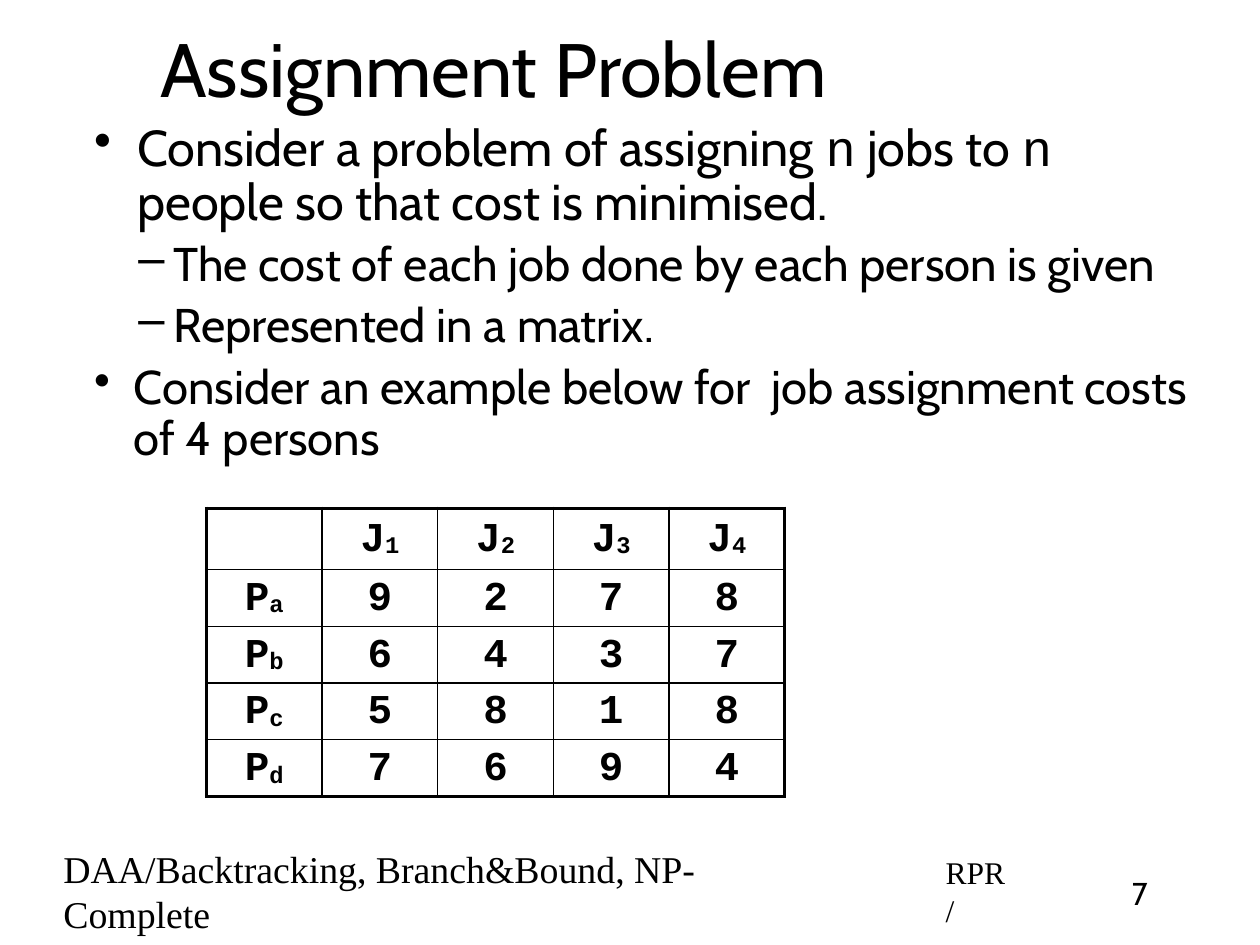
"""Build the Assignment Problem slide with its job cost matrix."""
from dataclasses import dataclass

from lxml.etree import SubElement
from pptx import Presentation
from pptx.dml.color import RGBColor
from pptx.enum.text import MSO_ANCHOR, MSO_AUTO_SIZE, PP_ALIGN
from pptx.oxml.ns import qn
from pptx.util import Inches, Pt


@dataclass(frozen=True)
class Theme:
    ink: RGBColor = RGBColor(0, 0, 0)
    sans: str = "Cabin"
    mono: str = "Courier New"
    serif: str = "Times New Roman"
    title: int = 48
    lead: int = 32
    detail: int = 30
    matrix: int = 26
    footer: int = 24
    small: int = 20
    frame_line: float = 2.25
    grid_line: float = 1


theme = Theme()


def add_span(para, text, size, face):
    span = para.add_run()
    span.text = text
    span.font.size = Pt(size)
    span.font.name = face
    span.font.color.rgb = theme.ink
    return span


def prepare_frame(box, anchor, left_margin=0.06):
    frame = box.text_frame
    frame.word_wrap = True
    frame.auto_size = MSO_AUTO_SIZE.NONE
    frame.vertical_anchor = anchor
    frame.margin_left = Inches(left_margin)
    frame.margin_right = frame.margin_top = frame.margin_bottom = Inches(0.06)
    return frame


deck = Presentation()
deck.slide_width, deck.slide_height = Inches(11.11), Inches(8.33)
page = deck.slides.add_slide(deck.slide_layouts[5])

title = page.shapes.title
title.left, title.top = Inches(0.83), Inches(0.07)
title.width, title.height = Inches(7.04), Inches(1.04)
para = prepare_frame(title, MSO_ANCHOR.MIDDLE).paragraphs[0]
para.alignment = PP_ALIGN.CENTER
add_span(para, "Assignment Problem", theme.title, theme.sans)

points = [
    (0, 0.42, -0.38, 0, "•", theme.lead, [
        ("Consider a problem of assigning ", theme.sans), ("n", theme.mono),
        (" jobs to ", theme.sans), ("n", theme.mono),
        (" people so that cost is minimised.", theme.sans)]),
    (1, 0.74, -0.31, 6, "–", theme.detail,
     [("The cost of each job done by each person is given", theme.sans)]),
    (1, 0.74, -0.31, 6, "–", theme.detail,
     [("Represented in a matrix.", theme.sans)]),
    (0, 0.39, -0.35, 7, "•", theme.detail,
     [("Consider an example below for  job assignment costs of 4 persons", theme.sans)]),
]
body = page.shapes.add_textbox(Inches(0.73), Inches(1.02), Inches(9.9), Inches(3.34))
frame = prepare_frame(body, MSO_ANCHOR.TOP)
for number, (level, margin, indent, gap, bullet, size, spans) in enumerate(points):
    para = frame.add_paragraph() if number else frame.paragraphs[0]
    para.level = level
    para.line_spacing = 0.9
    para.space_before = Pt(gap)
    properties = para._p.get_or_add_pPr()
    properties.set("marL", str(Inches(margin)))
    properties.set("indent", str(Inches(indent)))
    SubElement(properties, qn("a:buChar"), char=bullet)
    for text, face in spans:
        add_span(para, text, size, face)

footers = [
    (9.72, 7.64, 0.66, 0.42, "7", theme.small, theme.sans, MSO_ANCHOR.TOP, PP_ALIGN.CENTER, 0.06),
    (0.46, 7.62, 6.95, 0.47, "DAA/Backtracking, Branch&Bound, NP-Complete",
     theme.footer, theme.serif, MSO_ANCHOR.MIDDLE, PP_ALIGN.LEFT, 0.1),
    (8.24, 7.64, 0.74, 0.42, "RPR/", theme.small, theme.serif,
     MSO_ANCHOR.MIDDLE, PP_ALIGN.LEFT, 0.1),
]
for left, top, width, height, text, size, face, anchor, alignment, margin in footers:
    box = page.shapes.add_textbox(Inches(left), Inches(top), Inches(width), Inches(height))
    para = prepare_frame(box, anchor, margin).paragraphs[0]
    para.alignment = alignment
    add_span(para, text, size, face)

costs = [
    ["", "J1", "J2", "J3", "J4"],
    ["Pa", "9", "2", "7", "8"],
    ["Pb", "6", "4", "3", "7"],
    ["Pc", "5", "8", "1", "8"],
    ["Pd", "7", "6", "9", "4"],
]
last = len(costs) - 1
matrix = page.shapes.add_table(5, 5, Inches(1.82), Inches(4.48), Inches(5.1), Inches(2.54)).table
matrix.first_row = matrix.horz_banding = False
for index in range(len(costs)):
    matrix.columns[index].width = Inches(1.02)
    matrix.rows[index].height = Inches(0.5 if index else 0.54)

for row, labels in enumerate(costs):
    for column, label in enumerate(labels):
        cell = matrix.cell(row, column)
        cell.vertical_anchor = MSO_ANCHOR.MIDDLE
        cell.margin_left = cell.margin_right = Inches(0.06)
        cell.margin_top = cell.margin_bottom = Inches(0.06)
        outer_sides = {"L": column == 0, "R": column == last, "T": row == 0, "B": row == last}
        for side, outer in outer_sides.items():
            weight = theme.frame_line if outer else theme.grid_line
            line = SubElement(cell._tc.get_or_add_tcPr(), qn(f"a:ln{side}"), w=str(Pt(weight)))
            SubElement(SubElement(line, qn("a:solidFill")), qn("a:srgbClr"), val=str(theme.ink))
        cell.fill.background()
        para = cell.text_frame.paragraphs[0]
        para.alignment = PP_ALIGN.CENTER
        para.line_spacing = 0.9
        for position, letter in enumerate(label):
            span = add_span(para, letter, theme.matrix, theme.mono)
            span.font.bold = True
            if position:
                span.font._element.set("baseline", "-6000")

deck.save("out.pptx")
